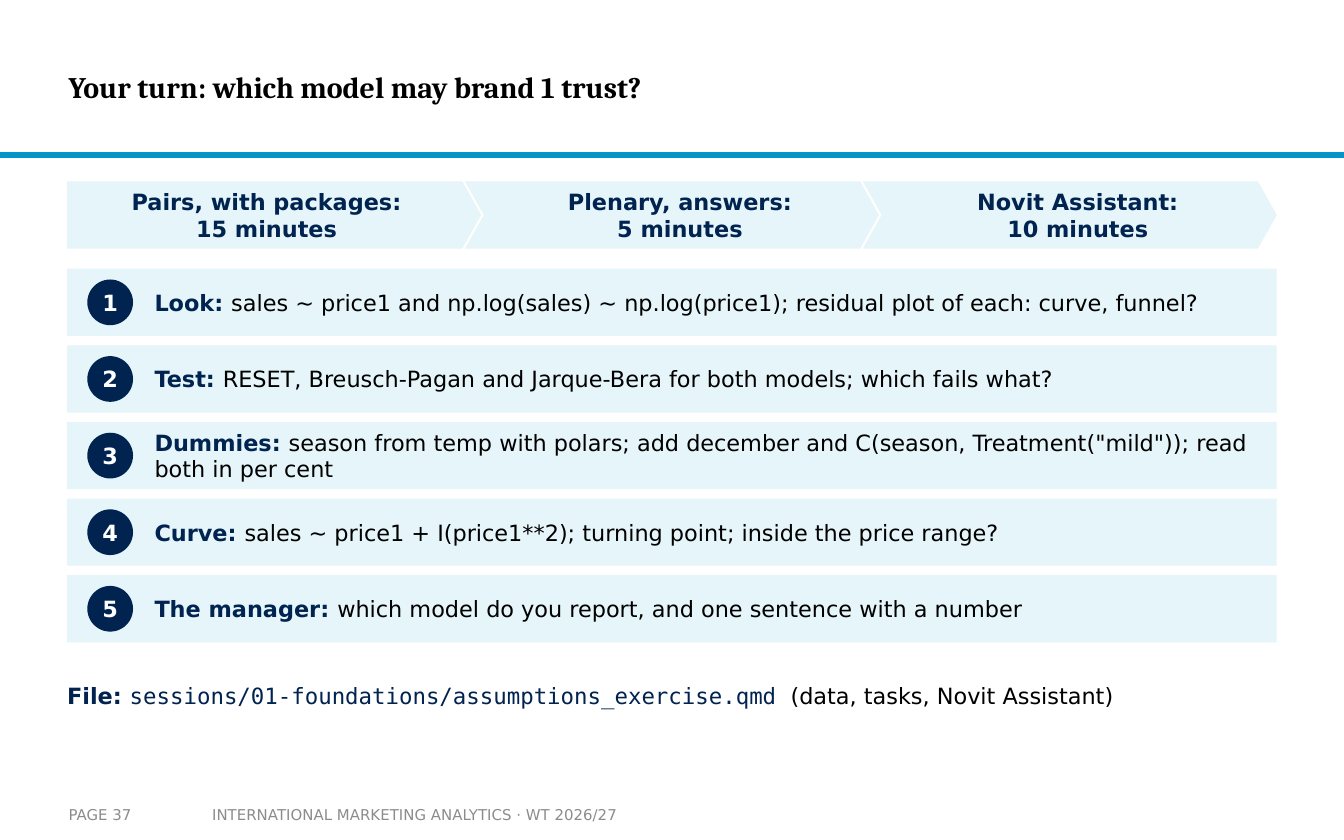
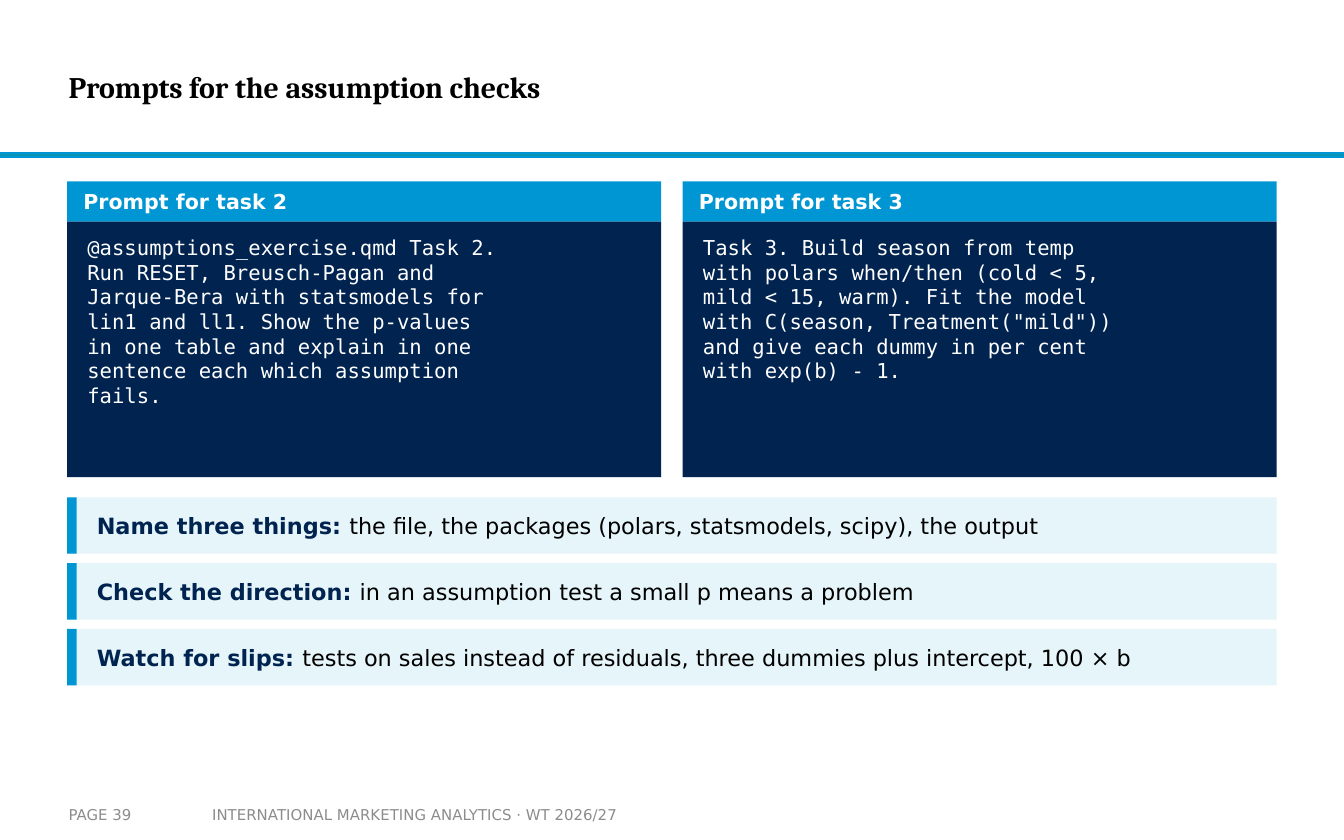
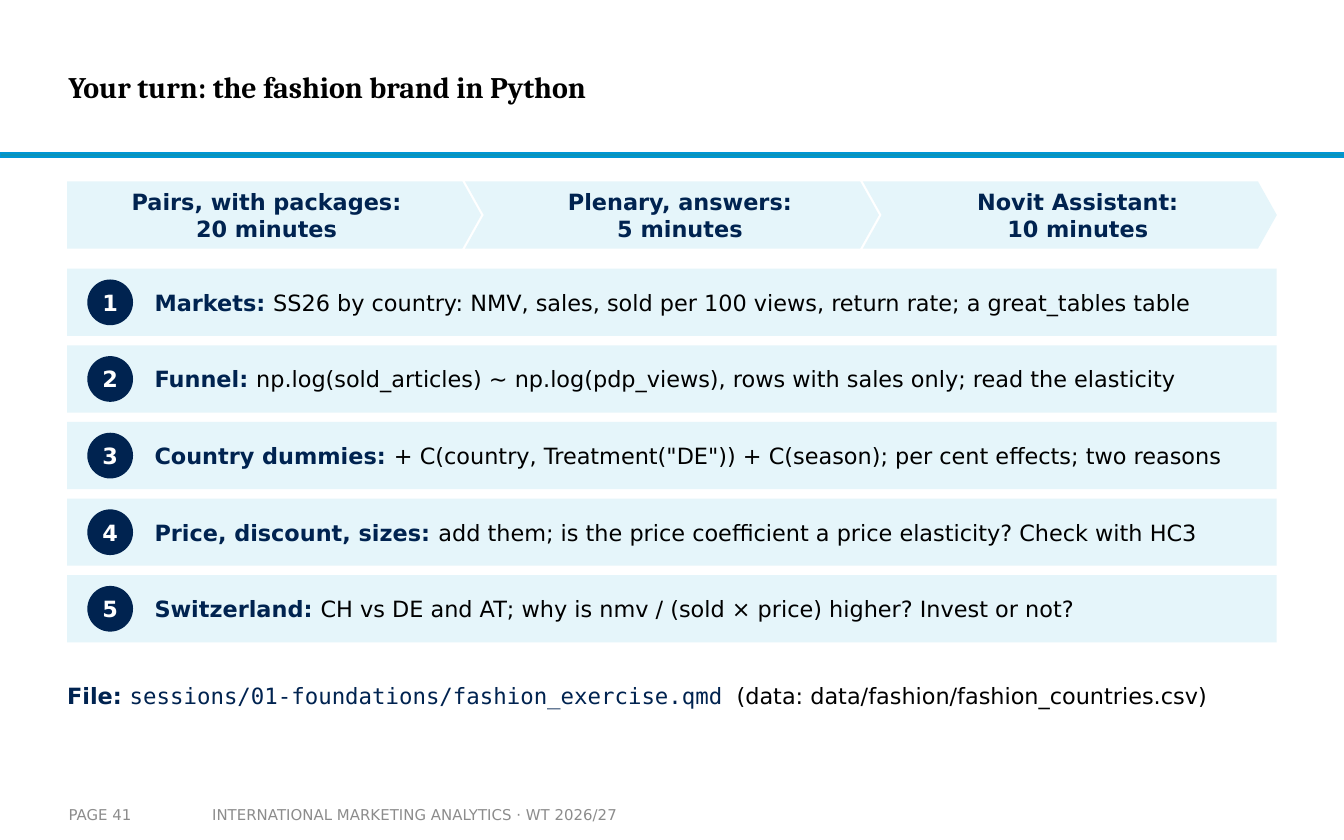
from typing import NamedTuple

from pptx import Presentation
from pptx.dml.color import RGBColor
from pptx.enum.shapes import MSO_SHAPE
from pptx.enum.text import MSO_ANCHOR, PP_ALIGN
from pptx.util import Inches, Pt

RECT, OVAL = MSO_SHAPE.RECTANGLE, MSO_SHAPE.OVAL
PLATE, CHEVRON = MSO_SHAPE.PENTAGON, MSO_SHAPE.CHEVRON
TOP, MIDDLE = MSO_ANCHOR.TOP, MSO_ANCHOR.MIDDLE
LEFT, CENTER = PP_ALIGN.LEFT, PP_ALIGN.CENTER

WIDE, HIGH = Inches(10), Inches(6.25)
COL, ROW = WIDE / 100, HIGH / 125
NAVY, BLUE, TEAL, PALE = "002350", "0096D3", "0C94B7", "E5F5FA"
GREY, BLACK, WHITE = "8C8C8C", "000000", "FFFFFF"
SERIF, SANS, MONO = "Cambria", "DejaVu Sans", "DejaVu Sans Mono"
COURSE = "INTERNATIONAL MARKETING ANALYTICS · WT 2026/27"


class Box(NamedTuple):
    """A region in grid columns (x, w) and rows (y, h)."""
    x: float
    y: float
    w: float
    h: float

    def inner(self, x, y, w, h):
        """Return a box placed from this one's top left corner."""
        return Box(self.x + x, self.y + y, w, h)

    def across(self, count, gap):
        """Split into equal columns."""
        w = (self.w - gap * (count - 1)) / count
        return [self.inner(i * (w + gap), 0, w, self.h) for i in range(count)]

    def down(self, count, gap):
        """Split into equal rows."""
        h = (self.h - gap * (count - 1)) / count
        return [self.inner(0, i * (h + gap), self.w, h) for i in range(count)]

    def place(self):
        """Return left, top, width and height in slide units."""
        return (round(self.x * COL), round(self.y * ROW),
                round(self.w * COL), round(self.h * ROW))


class Run(NamedTuple):
    """A piece of text with its look."""
    text: str
    color: str = BLACK
    bold: bool = False
    size: float = 12
    font: str = SANS


def paint(color):
    """Turn a hex string into a colour."""
    return RGBColor.from_string(color)


def write(shape, paras, align=LEFT, anchor=MIDDLE, pad=(0, 0, 0, 0), after=0):
    """Fill a shape with paragraphs of runs; pad is in columns and rows."""
    frame = shape.text_frame
    frame.word_wrap = True
    frame.vertical_anchor = anchor
    frame.margin_left, frame.margin_right = (round(n * COL) for n in pad[::2])
    frame.margin_top, frame.margin_bottom = (round(n * ROW) for n in pad[1::2])
    for i, runs in enumerate(paras):
        para = frame.add_paragraph() if i else frame.paragraphs[0]
        para.alignment = align
        para.space_after = Pt(after)
        for run in runs:
            for j, line in enumerate(run.text.split("\n")):
                if j:
                    para.add_line_break()
                piece = para.add_run()
                piece.text = line
                font = piece.font
                font.name, font.size, font.bold = run.font, Pt(run.size), run.bold
                font.color.rgb = paint(run.color)


def label(slide, box, paras, **style):
    """Add a text box."""
    write(slide.shapes.add_textbox(*box.place()), paras, **style)


def block(slide, box, color, kind=RECT):
    """Add a plain filled shape."""
    shape = slide.shapes.add_shape(kind, *box.place())
    shape.shadow.inherit = False
    shape.fill.solid()
    shape.fill.fore_color.rgb = paint(color)
    shape.line.fill.background()
    return shape


def start(deck, title, page):
    """Add a slide with title, rule and footer."""
    slide = deck.slides.add_slide(deck.slide_layouts[6])
    rule = block(slide, Box(0, 22.8, 100, 0.6), TEAL)
    rule.line.color.rgb = paint(BLUE)
    rule.line.width = Pt(1)
    label(slide, Box(5.1, 3, 74.8, 19.8), [[Run(title, BLACK, True, 16, SERIF)]])
    foot = Box(5.1, 118.4, 45, 5.6)
    label(slide, foot.inner(9.7, 0, 35.2, 5.6), [[Run(COURSE, GREY, size=8)]],
          pad=(1, 1, 1, 1))
    label(slide, foot.inner(0, 0, 9.8, 5.6), [[Run(f"PAGE {page}", GREY, size=8)]],
          pad=(0, 1, 0, 1))
    return slide


def point(slide, box, head, text):
    """Add a line of text with a bold lead."""
    label(slide, box, [[Run(head + ": ", NAVY, True), Run(text)]], after=4)


def phases(slide, box, items):
    """Add the row of arrows with the timing."""
    for i, (cell, text) in enumerate(zip(box.across(len(items), -1.2), items)):
        arrow = block(slide, cell, PALE, CHEVRON if i else PLATE)
        arrow.adjustments[0] = 0.28
        write(arrow, [[Run(text, NAVY, True)]], CENTER,
              pad=(2.6 if i else 1, 0.4, 1.4, 0.4))


def tasks(slide, box, items):
    """Add numbered bars."""
    for i, (bar, item) in enumerate(zip(box.down(len(items), 1.4), items), 1):
        block(slide, bar, PALE)
        disc = block(slide, bar.inner(1.5, (bar.h - 6.8) / 2, 3.4, 6.8), NAVY, OVAL)
        write(disc, [[Run(str(i), WHITE, True)]], CENTER)
        point(slide, bar.inner(6.5, 0, bar.w - 8, bar.h), *item)


def prompt(slide, box, head, lines):
    """Add a code card with a header."""
    top = box.inner(0, 0, box.w, 6)
    body = box.inner(0, 6, box.w, box.h - 6)
    block(slide, top, BLUE)
    label(slide, top.inner(1.2, 0, top.w - 2.4, top.h),
          [[Run(head, WHITE, True, 11)]], after=4)
    block(slide, body, NAVY)
    label(slide, body.inner(1.5, 2, body.w - 3, body.h - 4),
          [[Run(line, WHITE, size=11, font=MONO)] for line in lines], anchor=TOP)


def hints(slide, box, items):
    """Add bars with a coloured left edge."""
    for bar, item in zip(box.down(len(items), 1.4), items):
        block(slide, bar, PALE)
        block(slide, bar.inner(0, 0, 0.7, bar.h), BLUE)
        point(slide, bar.inner(2.2, 0, bar.w - 3.2, bar.h), *item)


def exercise(deck, title, page, time, items, file, note):
    """Build an exercise slide."""
    slide = start(deck, title, page)
    phases(slide, Box(5, 27, 90, 10),
           [f"Pairs, with packages:\n{time} minutes",
            "Plenary, answers:\n5 minutes", "Novit Assistant:\n10 minutes"])
    tasks(slide, Box(5, 40, 90, 55.6), items)
    label(slide, Box(5, 100, 90, 7),
          [[Run("File: ", NAVY, True),
            Run(f"sessions/01-foundations/{file} ", NAVY, font=MONO),
            Run(note)]], after=4)


def prompts(deck, title, page, cards, items):
    """Build a slide of prompts."""
    slide = start(deck, title, page)
    for cell, card in zip(Box(5, 27, 90, 44).across(len(cards), 1.6), cards):
        prompt(slide, cell, *card)
    hints(slide, Box(5, 74, 90, 28), items)


def main():
    """Build the deck."""
    deck = Presentation()
    deck.slide_width, deck.slide_height = WIDE, HIGH
    exercise(deck, "Your turn: which model may brand 1 trust?", 37, 15, [
        ("Look", "sales ~ price1 and np.log(sales) ~ np.log(price1); "
                 "residual plot of each: curve, funnel?"),
        ("Test", "RESET, Breusch-Pagan and Jarque-Bera for both models; "
                 "which fails what?"),
        ("Dummies", "season from temp with polars; add december and "
                    'C(season, Treatment("mild")); read both in per cent'),
        ("Curve", "sales ~ price1 + I(price1**2); turning point; "
                  "inside the price range?"),
        ("The manager", "which model do you report, and one sentence with a number"),
    ], "assumptions_exercise.qmd", "(data, tasks, Novit Assistant)")
    prompts(deck, "Prompts for the assumption checks", 39, [
        ("Prompt for task 2", [
            "@assumptions_exercise.qmd Task 2.",
            "Run RESET, Breusch-Pagan and",
            "Jarque-Bera with statsmodels for",
            "lin1 and ll1. Show the p-values",
            "in one table and explain in one",
            "sentence each which assumption",
            "fails."]),
        ("Prompt for task 3", [
            "Task 3. Build season from temp",
            "with polars when/then (cold < 5,",
            "mild < 15, warm). Fit the model",
            'with C(season, Treatment("mild"))',
            "and give each dummy in per cent",
            "with exp(b) - 1."]),
    ], [
        ("Name three things",
         "the file, the packages (polars, statsmodels, scipy), the output"),
        ("Check the direction", "in an assumption test a small p means a problem"),
        ("Watch for slips", "tests on sales instead of residuals, "
                            "three dummies plus intercept, 100 × b"),
    ])
    exercise(deck, "Your turn: the fashion brand in Python", 41, 20, [
        ("Markets", "SS26 by country: NMV, sales, sold per 100 views, "
                    "return rate; a great_tables table"),
        ("Funnel", "np.log(sold_articles) ~ np.log(pdp_views), "
                   "rows with sales only; read the elasticity"),
        ("Country dummies", '+ C(country, Treatment("DE")) + C(season); '
                            "per cent effects; two reasons"),
        ("Price, discount, sizes", "add them; is the price coefficient "
                                   "a price elasticity? Check with HC3"),
        ("Switzerland", "CH vs DE and AT; why is nmv / (sold × price) higher? "
                        "Invest or not?"),
    ], "fashion_exercise.qmd", "(data: data/fashion/fashion_countries.csv)")
    deck.save("out.pptx")


if __name__ == "__main__":
    main()
